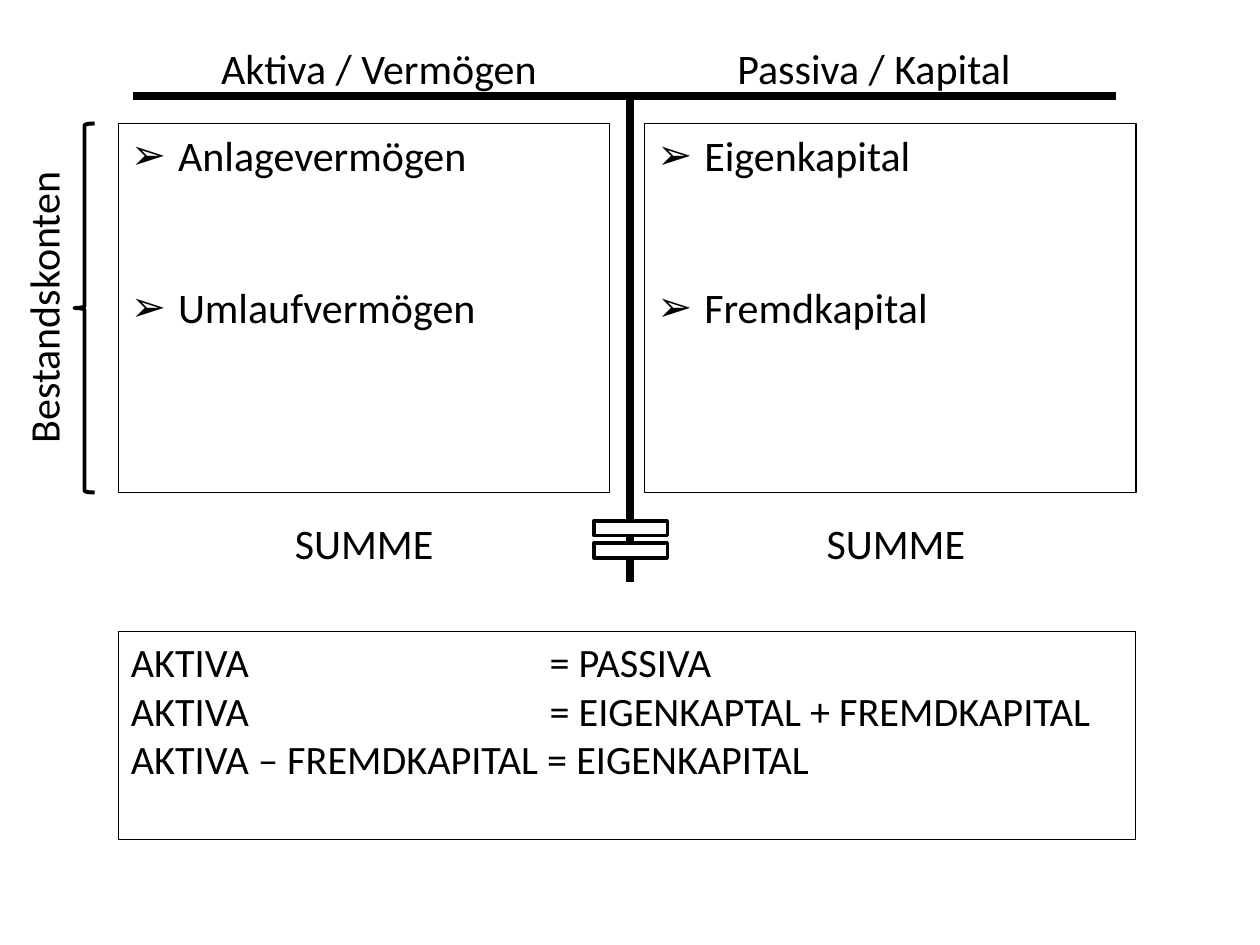
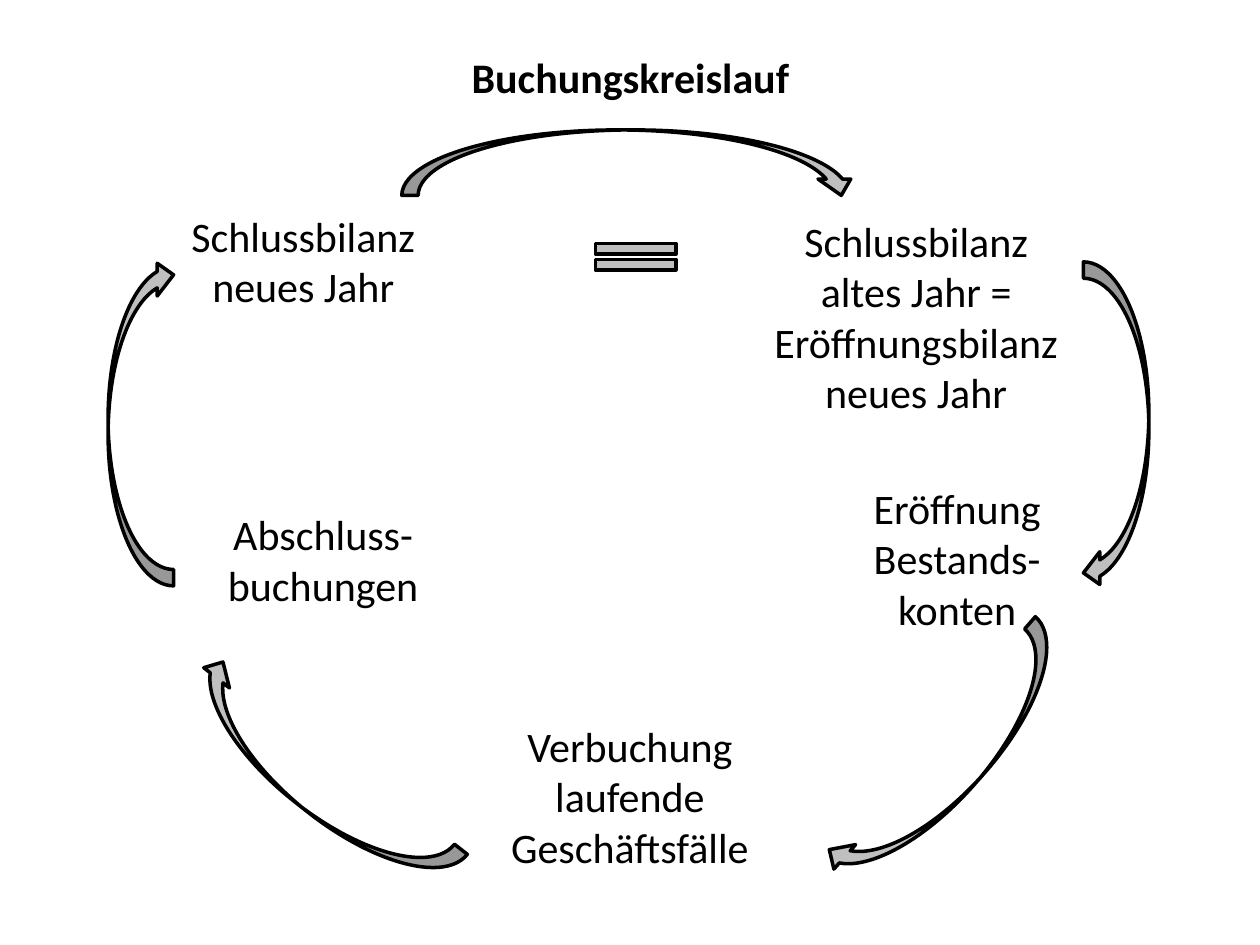
"""Builds two slides on the balance sheet and the yearly bookkeeping cycle."""
from lxml.etree import SubElement
from pptx import Presentation
from pptx.dml.color import RGBColor
from pptx.enum.shapes import MSO_CONNECTOR, MSO_SHAPE
from pptx.enum.text import MSO_ANCHOR, MSO_AUTO_SIZE, PP_ALIGN
from pptx.oxml.ns import qn
from pptx.util import Cm, Pt

COLORS = {"ink": "000000", "paper": "FFFFFF", "arrow": "BFBFBF"}
FONT = "Calibri"


def write(shape, text, size=24, bold=False, align=PP_ALIGN.CENTER, bullet=None, gap=0, tab=None):
    frame = shape.text_frame
    frame.word_wrap = True
    frame.auto_size = MSO_AUTO_SIZE.NONE
    frame.vertical_anchor = MSO_ANCHOR.TOP
    for index, line in enumerate(text.split("\n")):
        paragraph = frame.add_paragraph() if index else frame.paragraphs[0]
        properties = paragraph._p.get_or_add_pPr()
        if bullet:
            properties.set("marL", str(Cm(0.95)))
            properties.set("indent", str(-Cm(0.95)))
            SubElement(properties, qn("a:buFont"), typeface="Arial")
            SubElement(properties, qn("a:buChar"), char=bullet)
        if tab:
            tabs = SubElement(properties, qn("a:tabLst"))
            SubElement(tabs, qn("a:tab"), pos=str(Cm(tab)), algn="l")
        paragraph.alignment = align
        if index and gap:
            paragraph.space_before = Pt(gap)
        run = paragraph.add_run()
        run.text = line
        run.font.name = FONT
        run.font.size = Pt(size)
        run.font.bold = bold
        run.font.color.rgb = RGBColor.from_string(COLORS["ink"])


def draw(slide, kind, place, line_width, fill=None, rotation=0):
    shape = slide.shapes.add_shape(kind, *map(Cm, place))
    shape.shadow.inherit = False
    shape.rotation = rotation
    shape.line.color.rgb = RGBColor.from_string(COLORS["ink"])
    shape.line.width = Pt(line_width)
    if fill:
        shape.fill.solid()
        shape.fill.fore_color.rgb = RGBColor.from_string(COLORS[fill])
    else:
        shape.fill.background()
    return shape


presentation = Presentation()
presentation.slide_width = Cm(25.4)
presentation.slide_height = Cm(19.05)
title_only, blank = presentation.slide_layouts[5], presentation.slide_layouts[6]

balance = presentation.slides.add_slide(blank)
side_width, label_height = 9.9, 1.27
accounts_top, accounts_height = 2.49, 7.44

for ends in [(2.69, 1.93, 22.5, 1.93), (12.7, 1.93, 12.7, 11.73)]:
    t_line = balance.shapes.add_connector(MSO_CONNECTOR.STRAIGHT, *map(Cm, ends))
    t_line.line.color.rgb = RGBColor.from_string(COLORS["ink"])
    t_line.line.width = Pt(4.5)
    SubElement(t_line._element.spPr, qn("a:effectLst"))

sides = [
    ("Aktiva / Vermögen", 2.69, "Anlagevermögen\nUmlaufvermögen", 2.39, 2.39),
    ("Passiva / Kapital", 12.67, "Eigenkapital\nFremdkapital", 13, 13.11),
]
for heading, heading_left, accounts, accounts_left, total_left in sides:
    for label, left, top in [(heading, heading_left, 0.74), ("SUMME", total_left, 10.31)]:
        place = (left, top, side_width, label_height)
        write(balance.shapes.add_textbox(*map(Cm, place)), label)
    place = (accounts_left, accounts_top, side_width, accounts_height)
    write(draw(balance, MSO_SHAPE.RECTANGLE, place, 0.75), accounts,
          align=PP_ALIGN.LEFT, bullet="➢", gap=58)

draw(balance, MSO_SHAPE.MATH_EQUAL, (11.71, 10.24, 2.01, 1.27), 2, fill="paper")

equations = draw(balance, MSO_SHAPE.RECTANGLE, (2.39, 12.73, 20.5, 4.19), 0.75)
write(equations,
      "AKTIVA\t= PASSIVA\n"
      "AKTIVA\t= EIGENKAPTAL + FREMDKAPITAL\n"
      "AKTIVA – FREMDKAPITAL = EIGENKAPITAL",
      size=23, align=PP_ALIGN.LEFT, tab=8.44)

draw(balance, MSO_SHAPE.LEFT_BRACE, (1.5, accounts_top, 0.41, accounts_height), 2.25)
stock_accounts = balance.shapes.add_textbox(Cm(-2.13), Cm(5.56), Cm(5.99), Cm(label_height))
stock_accounts.rotation = 270
write(stock_accounts, "Bestandskonten", align=PP_ALIGN.LEFT)

cycle = presentation.slides.add_slide(title_only)
title = cycle.shapes.title
title.left, title.top, title.width, title.height = map(Cm, (0.71, 0.91, 24, 1.27))
write(title, "Buchungskreislauf", bold=True)

stations = [
    ("Schlussbilanz neues Jahr", (3.51, 4.11, 5.21, 2.31)),
    ("Schlussbilanz altes Jahr = Eröffnungsbilanz neues Jahr", (15.09, 4.22, 6.76, 4.37)),
    ("Abschluss-buchungen", (3.91, 10.13, 5.21, 2.31)),
    ("Eröffnung Bestands-konten", (16.69, 9.6, 5.21, 3.33)),
    ("Verbuchung laufende Geschäftsfälle", (10.01, 14.4, 5.38, 3.33)),
]
for station, place in stations:
    write(cycle.shapes.add_textbox(*map(Cm, place)), station)

steps = [
    (8.1, 2.62, 9.19, 0),
    (19.2, 7.92, 6.6, 90),
    (15.88, 14.68, 6.6, 131.5),
    (3.12, 15.04, 6.6, 218.2),
    (-0.46, 7.85, 6.6, 270),
]
for left, top, length, turn in steps:
    draw(cycle, MSO_SHAPE.CURVED_DOWN_ARROW, (left, top, length, 1.32), 2, fill="arrow", rotation=turn)
draw(cycle, MSO_SHAPE.MATH_EQUAL, (11.71, 4.72, 2.21, 0.91), 2, fill="arrow")

presentation.save("out.pptx")
